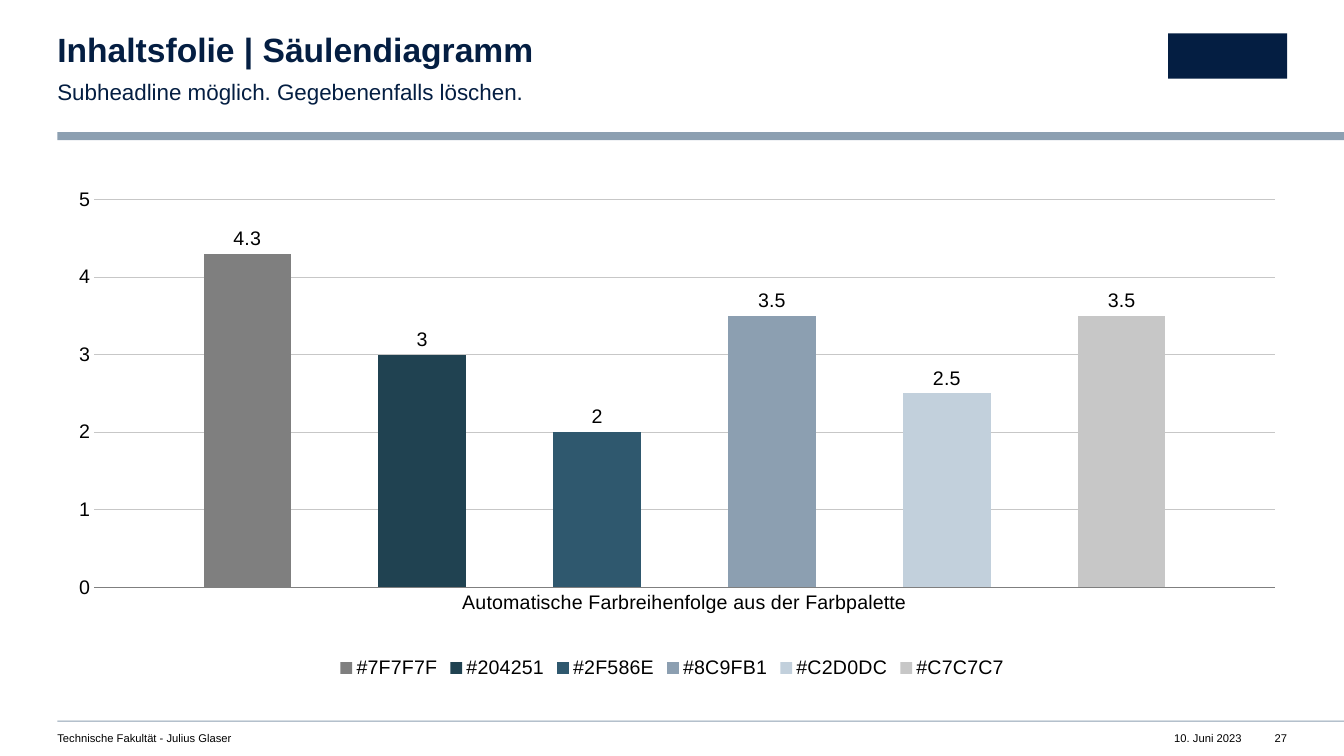
"""Build a slide with a column chart of the colour palette."""
from lxml import etree
from pptx import Presentation
from pptx import util as u
from pptx.chart import data as cd
from pptx.dml import color
from pptx.enum import chart as ch
from pptx.enum import shapes, text
from pptx.oxml import ns

Pt = u.Pt
FONT = "Arial"
NAVY, BLUE, GREY, LIGHT, BLACK = "041E42", "8C9FB1", "7F7F7F", "C7C7C7", "000000"
LEFT, RIGHT, WIDE = 41, 919.4, 960
BARS = [("7F7F7F", 4.3), ("204251", 3), ("2F586E", 2),
        ("8C9FB1", 3.5), ("C2D0DC", 2.5), ("C7C7C7", 3.5)]
PLOT = {"x": 0.03, "y": 0.04, "w": 0.96, "h": 0.77}
ALIGN = text.PP_ALIGN


def rgb(code):
    """Turn a hex string into a colour."""
    return color.RGBColor.from_string(code)


def style(font, size, code=BLACK, bold=False):
    """Set the face, size, colour and weight of a font."""
    font.name, font.size, font.bold = FONT, Pt(size), bold
    font.color.rgb = rgb(code)


def fill(fmt, code):
    """Give a format a solid fill."""
    fmt.fill.solid()
    fmt.fill.fore_color.rgb = rgb(code)


def rule(fmt, code):
    """Draw a thin chart line."""
    fmt.line.color.rgb = rgb(code)
    fmt.line.width = Pt(0.5)


def block(slide, x, y, w, h, code):
    """Add a plain filled rectangle."""
    box = slide.shapes.add_shape(shapes.MSO_SHAPE.RECTANGLE, Pt(x), Pt(y), Pt(w), Pt(h))
    box.shadow.inherit = False
    box.line.fill.background()
    fill(box, code)


def label(slide, x, y, w, h, words, size, code=BLACK, bold=False,
          align=ALIGN.LEFT, lead=1.0):
    """Add a one-line text box without margins."""
    frame = slide.shapes.add_textbox(Pt(x), Pt(y), Pt(w), Pt(h)).text_frame
    frame.margin_left = frame.margin_right = frame.margin_top = frame.margin_bottom = 0
    frame.word_wrap = True
    para = frame.paragraphs[0]
    para.alignment, para.line_spacing = align, lead
    run = para.add_run()
    run.text = words
    style(run.font, size, code, bold)


def place(chart):
    """Fix the inner plot area as shares of the chart."""
    area = chart.plots[0]._element.getparent()
    for old in area.findall(ns.qn("c:layout")):
        area.remove(old)
    layout = etree.Element(ns.qn("c:layout"))
    manual = etree.SubElement(layout, ns.qn("c:manualLayout"))
    modes = {"layoutTarget": "inner", "xMode": "edge", "yMode": "edge"}
    for tag, val in {**modes, **PLOT}.items():
        etree.SubElement(manual, ns.qn("c:" + tag)).set("val", str(val))
    area.insert(0, layout)


def columns(slide, x, y, w, h):
    """Add the column chart with one series per colour."""
    data = cd.CategoryChartData()
    data.categories = ["Automatische Farbreihenfolge aus der Farbpalette"]
    for code, val in BARS:
        data.add_series("#" + code, [val])
    kind = ch.XL_CHART_TYPE.COLUMN_CLUSTERED
    chart = slide.shapes.add_chart(kind, Pt(x), Pt(y), Pt(w), Pt(h), data).chart
    style(chart.font, 14)
    chart.has_title = False
    chart.has_legend = True
    chart.legend.position = ch.XL_LEGEND_POSITION.BOTTOM
    chart.legend.include_in_layout = False
    style(chart.legend.font, 14)
    plot = chart.plots[0]
    plot.gap_width, plot.overlap, plot.vary_by_categories = 250, -100, False
    for series, (code, _) in zip(plot.series, BARS):
        fill(series.format, code)
        tags = series.data_labels
        tags.show_value = True
        tags.position = ch.XL_LABEL_POSITION.OUTSIDE_END
        style(tags.font, 14)
    cat, val = chart.category_axis, chart.value_axis
    for axis in (cat, val):
        axis.major_tick_mark = axis.minor_tick_mark = ch.XL_TICK_MARK.NONE
        style(axis.tick_labels.font, 14)
    rule(cat.format, GREY)
    val.format.line.fill.background()
    val.minimum_scale, val.maximum_scale, val.major_unit = 0, 5, 1
    val.has_major_gridlines = True
    rule(val.major_gridlines.format, LIGHT)
    place(chart)


def main():
    """Build and save the slide."""
    deck = Presentation()
    deck.slide_width, deck.slide_height = Pt(WIDE), Pt(540)
    slide = deck.slides.add_slide(deck.slide_layouts[6])
    block(slide, LEFT, 94.3, WIDE - LEFT, 5.8, BLUE)
    block(slide, LEFT, 514.8, WIDE - LEFT, 0.7, BLUE)
    block(slide, 834.4, 23.8, 85, 32.4, NAVY)
    label(slide, LEFT, 23.8, 539, 26, "Inhaltsfolie | Säulendiagramm", 24, NAVY, True, lead=0.9)
    label(slide, LEFT, 54, 539, 19.4, "Subheadline möglich. Gegebenenfalls löschen.",
          16, NAVY, lead=1.1)
    columns(slide, LEFT, 128, RIGHT - LEFT, 360)
    label(slide, LEFT, 522.7, 430, 9.4, "Technische Fakultät - Julius Glaser", 8)
    label(slide, 820, 522.7, 67, 9.4, "10. Juni 2023", 8, align=ALIGN.RIGHT)
    label(slide, 904.4, 522.7, 15, 9.4, "27", 8, align=ALIGN.RIGHT)
    deck.save("out.pptx")


if __name__ == "__main__":
    main()
